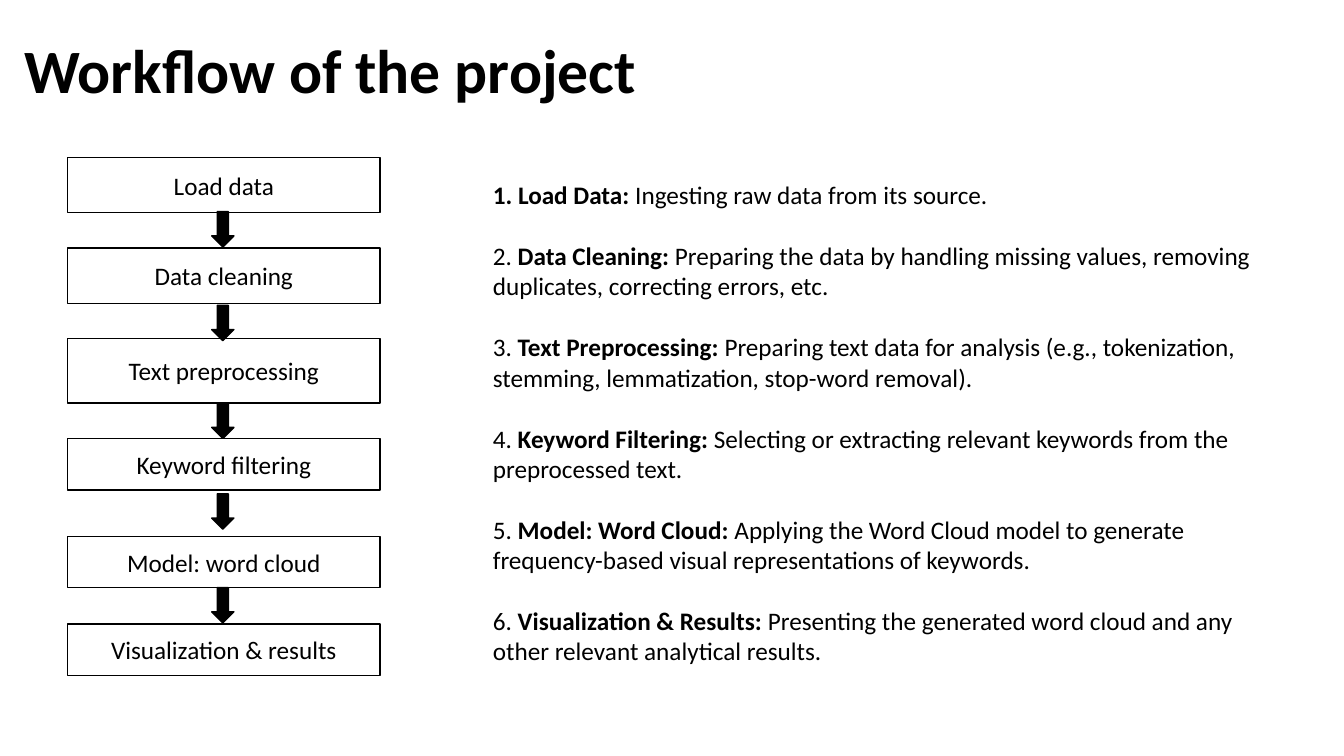
from dataclasses import dataclass

from pptx import Presentation
from pptx import util as u
from pptx.dml.color import RGBColor
from pptx.enum import shapes, text

PX = 9144  # EMU per px, 100 px to the inch


@dataclass(frozen=True)
class Theme:
    font: str = "Calibri"
    ink: RGBColor = RGBColor(0, 0, 0)
    paper: RGBColor = RGBColor(255, 255, 255)
    title_size: int = 44
    body_size: int = 18
    step_gap: int = 22
    line_width: int = 1


THEME = Theme()

# Flowchart: label, top, height
BOX_LEFT, BOX_WIDTH = 67, 310
STEPS = [
    ("Load data", 156, 55),
    ("Data cleaning", 246, 55),
    ("Text preprocessing", 336, 64),
    ("Keyword filtering", 435, 51),
    ("Model: word cloud", 532, 51),
    ("Visualization & results", 619, 51),
]
ARROW_LEFT, ARROW_WIDTH, ARROW_HEIGHT = 210, 22, 35
ARROW_TOPS = [210, 303, 400, 490, 583]

# Explanations: name, description
NOTES = [
    ("Load Data:", "Ingesting raw data from its source."),
    ("Data Cleaning:", "Preparing the data by handling missing values, "
     "removing duplicates, correcting errors, etc."),
    ("Text Preprocessing:", "Preparing text data for analysis (e.g., "
     "tokenization, stemming, lemmatization, stop-word removal)."),
    ("Keyword Filtering:", "Selecting or extracting relevant keywords from "
     "the preprocessed text."),
    ("Model: Word Cloud:", "Applying the Word Cloud model to generate "
     "frequency-based visual representations of keywords."),
    ("Visualization & Results:", "Presenting the generated word cloud and "
     "any other relevant analytical results."),
]


def px(*lengths):
    return [u.Emu(n * PX) for n in lengths]


def style(p, size, align=text.PP_ALIGN.LEFT, bold=None):
    p.alignment = align
    p.font.name = THEME.font
    p.font.size = u.Pt(size)
    p.font.color.rgb = THEME.ink
    p.font.bold = bold


def set_title(s, title):
    sp = s.shapes.title
    sp.left, sp.top, sp.width, sp.height = px(14, 0, 1150, 145)
    tf = sp.text_frame
    tf.text = title
    tf.auto_size = text.MSO_AUTO_SIZE.NONE
    tf.vertical_anchor = text.MSO_ANCHOR.MIDDLE
    style(tf.paragraphs[0], THEME.title_size, bold=True)
    tf.paragraphs[0].line_spacing = 0.9


def add_block(s, kind, fill, *box):
    sp = s.shapes.add_shape(kind, *px(*box))
    sp.shadow.inherit = False
    sp.fill.solid()
    sp.fill.fore_color.rgb = fill
    sp.line.color.rgb = THEME.ink
    sp.line.width = u.Pt(THEME.line_width)
    return sp


def add_step(s, label, top, height):
    sp = add_block(s, shapes.MSO_SHAPE.RECTANGLE, THEME.paper,
                   BOX_LEFT, top, BOX_WIDTH, height)
    tf = sp.text_frame
    tf.text = label
    tf.vertical_anchor = text.MSO_ANCHOR.MIDDLE
    style(tf.paragraphs[0], THEME.body_size, text.PP_ALIGN.CENTER)


def add_notes(s, notes):
    tf = s.shapes.add_textbox(*px(479, 173, 787, 525)).text_frame
    tf.word_wrap = True
    for number, (name, description) in enumerate(notes, 1):
        p = tf.paragraphs[0] if number == 1 else tf.add_paragraph()
        style(p, THEME.body_size)
        if number < len(notes):
            p.space_after = u.Pt(THEME.step_gap)
        runs = [(f"{number}. ", number == 1), (f"{name} ", True),
                (description, False)]
        for words, bold in runs:
            r = p.add_run()
            r.text = words
            r.font.bold = bold


def main():
    prs = Presentation()
    prs.slide_width, prs.slide_height = px(1333, 750)
    s = prs.slides.add_slide(prs.slide_layouts[5])

    set_title(s, "Workflow of the project")
    add_notes(s, NOTES)

    # Flowchart
    for step in STEPS:
        add_step(s, *step)
    for top in ARROW_TOPS:
        add_block(s, shapes.MSO_SHAPE.DOWN_ARROW, THEME.ink,
                  ARROW_LEFT, top, ARROW_WIDTH, ARROW_HEIGHT)

    prs.save("out.pptx")


if __name__ == "__main__":
    main()
